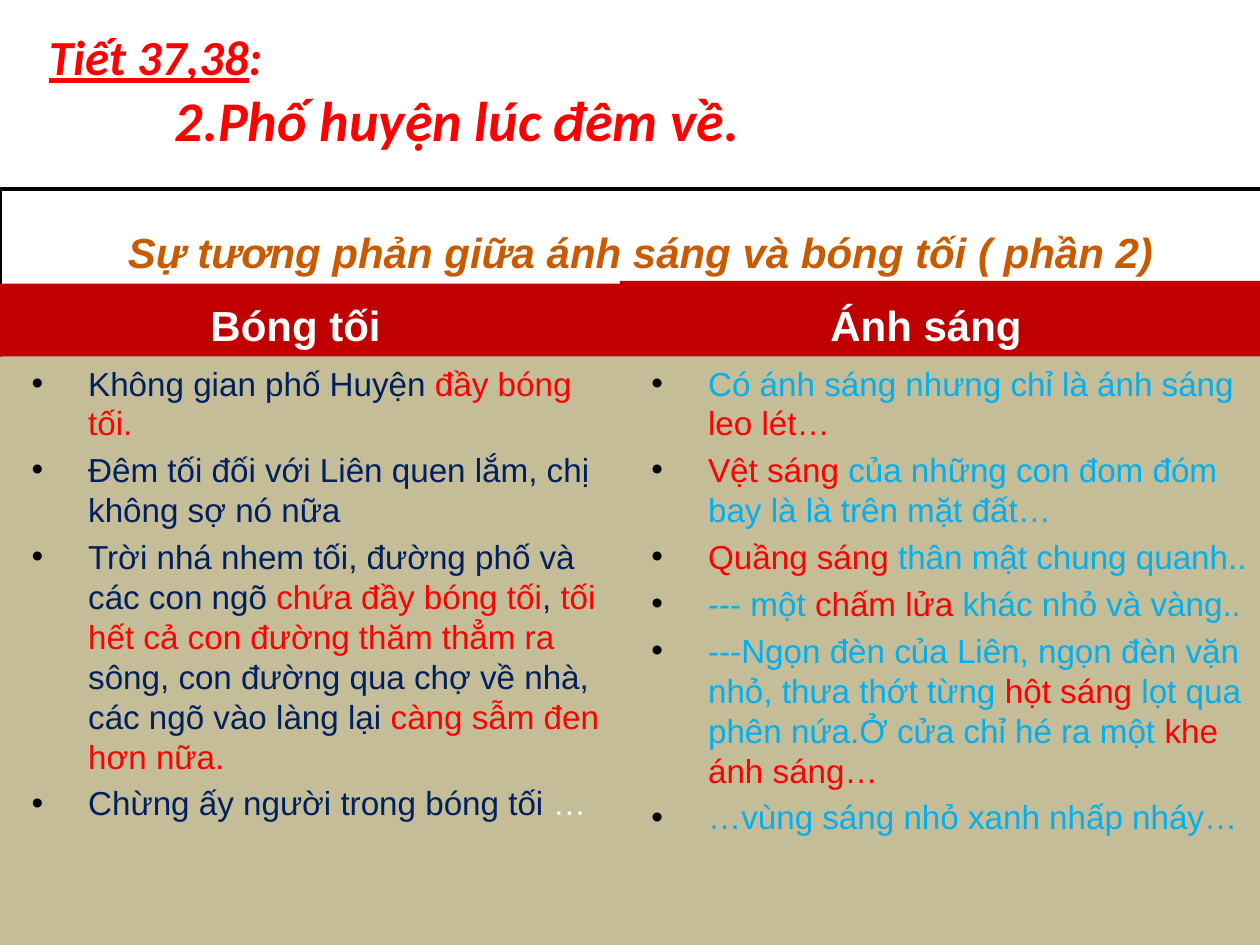
from lxml import etree
from pptx import Presentation
from pptx.dml.color import RGBColor
from pptx.enum.shapes import MSO_SHAPE
from pptx.enum.text import MSO_ANCHOR, MSO_AUTO_SIZE, PP_ALIGN
from pptx.oxml.ns import qn
from pptx.util import Inches, Pt

RECT = MSO_SHAPE.RECTANGLE
MIDDLE, BOTTOM, TOP = MSO_ANCHOR.MIDDLE, MSO_ANCHOR.BOTTOM, MSO_ANCHOR.TOP
CENTER, LEFT = PP_ALIGN.CENTER, PP_ALIGN.LEFT
NO_FIT = MSO_AUTO_SIZE.NONE

COLORS = {
    "white": "FFFFFF", "black": "000000", "red": "FF0000", "navy": "002060",
    "sky": "00B0F0", "orange": "C85B00", "header": "C00000", "panel": "C4BD97",
}
WIDTH, HEIGHT = 10, 7.5
SPLIT, BODY_TOP = 4.92, 2.83

DARKNESS = [
    [("Không gian phố Huyện ", "navy"), ("đầy bóng tối.", "red")],
    [("Đêm tối đối với Liên quen lắm, chị không sợ nó nữa", "navy")],
    [("Trời nhá nhem tối, đường phố và các con ngõ ", "navy"),
     ("chứa đầy bóng tối", "red"), (", ", "navy"),
     ("tối hết cả con đường thăm thẳm ra ", "red"),
     ("sông, con đường qua chợ về nhà, các ngõ vào làng lại ", "navy"),
     ("càng sẫm đen hơn nữa.", "red")],
    [("Chừng ấy người trong bóng tối ", "navy"), ("…", "white")],
]
LIGHT = [
    [("Có ánh sáng nhưng chỉ là ánh sáng ", "sky"), ("leo lét…", "red")],
    [("Vệt sáng ", "red"),
     ("của những con đom đóm bay là là trên mặt đất…", "sky")],
    [("Quầng sáng ", "red"), ("thân mật chung quanh..", "sky")],
    [("--- một ", "sky"), ("chấm lửa ", "red"), ("khác nhỏ và vàng..", "sky")],
    [("---Ngọn đèn của Liên, ngọn đèn vặn nhỏ, thưa thớt từng ", "sky"),
     ("hột sáng ", "red"), ("lọt qua phên nứa.Ở cửa chỉ hé ra một ", "sky"),
     ("khe ánh sáng…", "red")],
    [("…vùng sáng nhỏ xanh nhấp nháy…", "sky")],
]


def rgb(name):
    """Return the named colour."""
    return RGBColor.from_string(COLORS[name])


def place(s, left, top, width, height):
    """Set position and size in inches."""
    s.left, s.top = Inches(left), Inches(top)
    s.width, s.height = Inches(width), Inches(height)


def add_run(p, text, size, color, font="Arial", bold=False, italic=False):
    """Append a formatted run to a paragraph."""
    r = p.add_run()
    r.text = text
    r.font.name, r.font.size = font, Pt(size)
    r.font.bold, r.font.italic = bold, italic
    r.font.color.rgb = rgb(color)
    return r


def indent(p, left, first=0):
    """Set the left margin and first-line indent in inches."""
    pPr = p._p.get_or_add_pPr()
    pPr.set("marL", str(Inches(left)))
    pPr.set("indent", str(Inches(first)))
    return pPr


def add_bullet(p):
    """Give a paragraph a black hanging bullet."""
    pPr = indent(p, 0.6, -0.45)
    color = etree.SubElement(pPr, qn("a:buClr"))
    etree.SubElement(color, qn("a:srgbClr"), val=COLORS["black"])
    etree.SubElement(pPr, qn("a:buFont"), typeface="Arial")
    etree.SubElement(pPr, qn("a:buChar"), char="•")


def fill_panel(s, box, color, anchor):
    """Place a filled placeholder and return its text frame."""
    place(s, *box)
    s.fill.solid()
    s.fill.fore_color.rgb = rgb(color)
    tf = s.text_frame
    tf.auto_size, tf.vertical_anchor = NO_FIT, anchor
    return tf


def add_column(header, body, left, width, top, title, items):
    """Fill one column: a header bar above a bulleted panel."""
    tf = fill_panel(header, (left, top, width, BODY_TOP - top), "header", BOTTOM)
    p = tf.paragraphs[0]
    indent(p, 1.57)
    add_run(p, title, 24, "white", bold=True)

    box = (left, BODY_TOP, width, HEIGHT - BODY_TOP)
    tf = fill_panel(body, box, "panel", TOP)
    for i, item in enumerate(items):
        p = tf.add_paragraph() if i else tf.paragraphs[0]
        add_bullet(p)
        p.space_before = Pt(4)
        for text, color in item:
            add_run(p, text, 19, color)


def add_frame(slide):
    """Draw the outlined rectangle behind the columns."""
    s = slide.shapes.add_shape(RECT, 0, 0, 0, 0)
    place(s, 0, 1.5, 10.08, 6)
    s.shadow.inherit = False
    s.fill.solid()
    s.fill.fore_color.rgb = rgb("white")
    s.line.color.rgb, s.line.width = rgb("black"), Pt(2)
    slide.shapes._spTree.insert(2, s._element)


def set_title(s, text):
    """Fill the slide title."""
    place(s, 0.17, 1.33, 9.83, 1.33)
    tf = s.text_frame
    tf.auto_size, tf.vertical_anchor = NO_FIT, MIDDLE
    p = tf.paragraphs[0]
    p.alignment = CENTER
    add_run(p, text, 24, "orange", bold=True, italic=True)


def add_lesson(slide, label, topic):
    """Add the lesson number and its topic at the top."""
    s = slide.shapes.add_textbox(0, 0, 0, 0)
    place(s, 0.29, 0.16, 9.33, 1.11)
    tf = s.text_frame
    tf.word_wrap = True
    style = {"color": "red", "font": "Calibri", "bold": True, "italic": True}
    p = tf.paragraphs[0]
    add_run(p, label, 28, **style).font.underline = True
    add_run(p, ":", 28, **style)
    p = tf.add_paragraph()
    p.alignment = LEFT
    indent(p, 1)
    add_run(p, topic, 32, **style)


def main():
    """Build and save the slide."""
    prs = Presentation()
    prs.slide_width, prs.slide_height = Inches(WIDTH), Inches(HEIGHT)
    slide = prs.slides.add_slide(prs.slide_layouts.get_by_name("Comparison"))
    title, head1, body1, head2, body2 = slide.placeholders
    add_frame(slide)
    set_title(title, "Sự tương phản giữa ánh sáng và bóng tối ( phần 2)")
    add_column(head1, body1, 0, SPLIT, 2.25, "Bóng tối", DARKNESS)
    add_column(head2, body2, SPLIT, WIDTH - SPLIT, 2.23, "Ánh sáng", LIGHT)
    add_lesson(slide, "Tiết 37,38", "2.Phố huyện lúc đêm về.")
    prs.save("out.pptx")


if __name__ == "__main__":
    main()
